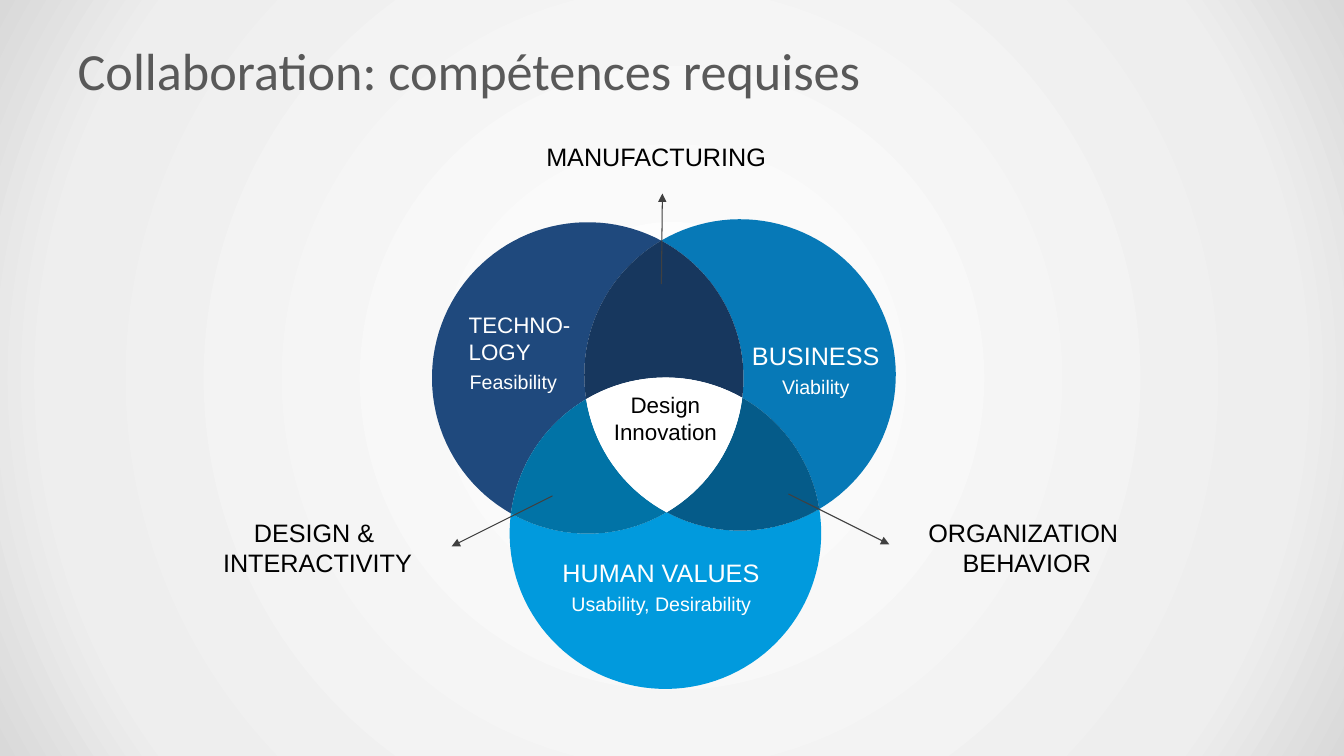
from dataclasses import dataclass
from math import atan2, ceil, cos, dist, pi, sin, sqrt, tau

from pptx import Presentation
from pptx.dml.color import RGBColor
from pptx.enum.shapes import MSO_CONNECTOR
from pptx.enum.text import MSO_ANCHOR, MSO_AUTO_SIZE, PP_ALIGN
from pptx.oxml import parse_xml
from pptx.oxml.ns import nsdecls, qn
from pptx.slide import Slide
from pptx.text.text import TextFrame
from pptx.util import Inches, Pt

WHITE = RGBColor(0xFF, 0xFF, 0xFF)
BLACK = RGBColor(0x00, 0x00, 0x00)
TITLE_GREY = RGBColor(0x59, 0x59, 0x59)
ARROW_GREY = RGBColor(0x40, 0x40, 0x40)
PALE_GREY = RGBColor(0xEE, 0xEE, 0xEE)
EDGE_GREY = RGBColor(0xD9, 0xD9, 0xD9)
TECHNOLOGY_BLUE = RGBColor(0x1F, 0x49, 0x7D)
BUSINESS_BLUE = RGBColor(0x07, 0x79, 0xB7)
HUMAN_BLUE = RGBColor(0x01, 0x9A, 0xDD)
MANUFACTURING_BLUE = RGBColor(0x17, 0x37, 0x5E)
DESIGN_BLUE = RGBColor(0x01, 0x73, 0xA6)
ORGANIZATION_BLUE = RGBColor(0x05, 0x5B, 0x89)

Point = tuple[float, float]
RADIUS = 1.545
ARC_STEP = pi / 60
CLOCKWISE, COUNTER = 1, -1

# Circle centres
TECHNOLOGY: Point = (5.83, 3.75)
BUSINESS: Point = (7.34, 3.72)
HUMAN: Point = (6.6, 5.29)


def crossings(first: Point, second: Point) -> tuple[Point, Point]:
    """Return the inner and the outer crossing of two circles."""
    (x1, y1), (x2, y2) = first, second
    gap = dist(first, second)
    ratio = sqrt(RADIUS**2 - (gap / 2) ** 2) / gap
    across, down = (y1 - y2) * ratio, (x2 - x1) * ratio
    x, y = (x1 + x2) / 2, (y1 + y2) / 2
    return (x + across, y + down), (x - across, y - down)


INNER_BOTTOM, OUTER_TOP = crossings(TECHNOLOGY, BUSINESS)
INNER_LEFT, OUTER_RIGHT = crossings(BUSINESS, HUMAN)
INNER_RIGHT, OUTER_LEFT = crossings(HUMAN, TECHNOLOGY)


@dataclass
class Arc:
    start: Point
    centre: Point
    turn: int


@dataclass
class Region:
    """A closed area; each arc runs to the start of the next one."""
    color: RGBColor
    arcs: list[Arc]


@dataclass
class Label:
    lines: list[str]
    left: float
    top: float
    width: float
    height: float
    size: int
    color: RGBColor = WHITE
    align: PP_ALIGN = PP_ALIGN.LEFT


@dataclass
class Arrow:
    start: Point
    end: Point


REGIONS = [
    Region(TECHNOLOGY_BLUE, [Arc(OUTER_TOP, TECHNOLOGY, COUNTER),
                             Arc(OUTER_LEFT, HUMAN, CLOCKWISE),
                             Arc(INNER_LEFT, BUSINESS, CLOCKWISE)]),
    Region(BUSINESS_BLUE, [Arc(OUTER_TOP, BUSINESS, CLOCKWISE),
                           Arc(OUTER_RIGHT, HUMAN, COUNTER),
                           Arc(INNER_RIGHT, TECHNOLOGY, COUNTER)]),
    Region(MANUFACTURING_BLUE, [Arc(OUTER_TOP, TECHNOLOGY, CLOCKWISE),
                                Arc(INNER_RIGHT, HUMAN, COUNTER),
                                Arc(INNER_LEFT, BUSINESS, CLOCKWISE)]),
    Region(HUMAN_BLUE, [Arc(OUTER_RIGHT, HUMAN, CLOCKWISE),
                        Arc(OUTER_LEFT, TECHNOLOGY, COUNTER),
                        Arc(INNER_BOTTOM, BUSINESS, COUNTER)]),
    Region(DESIGN_BLUE, [Arc(INNER_LEFT, BUSINESS, COUNTER),
                         Arc(INNER_BOTTOM, TECHNOLOGY, CLOCKWISE),
                         Arc(OUTER_LEFT, HUMAN, CLOCKWISE)]),
    Region(ORGANIZATION_BLUE, [Arc(INNER_RIGHT, HUMAN, CLOCKWISE),
                               Arc(OUTER_RIGHT, BUSINESS, CLOCKWISE),
                               Arc(INNER_BOTTOM, TECHNOLOGY, COUNTER)]),
    Region(WHITE, [Arc(INNER_LEFT, HUMAN, CLOCKWISE),
                   Arc(INNER_RIGHT, TECHNOLOGY, CLOCKWISE),
                   Arc(INNER_BOTTOM, BUSINESS, CLOCKWISE)]),
]
LABELS = [
    Label(["Feasibility"], 4.56, 3.62, 1.07, 0.34, 14),
    Label(["TECHNO-", "LOGY"], 4.55, 3.04, 1.22, 0.64, 16),
    Label(["Viability"], 7.66, 3.67, 0.88, 0.34, 14),
    Label(["BUSINESS"], 7.36, 3.33, 1.48, 0.4, 18),
    Label(["Usability, Desirability"], 5.57, 5.82, 2, 0.34, 14),
    Label(["HUMAN VALUES"], 5.48, 5.48, 2.17, 0.4, 18),
    Label(["DESIGN & ", "INTERACTIVITY"], 2.1, 5.08, 2.1, 0.71, 18, BLACK, PP_ALIGN.CENTER),
    Label(["ORGANIZATION ", "BEHAVIOR"], 9.1, 5.08, 2.17, 0.71, 18, BLACK, PP_ALIGN.CENTER),
    Label(["MANUFACTURING"], 5.32, 1.35, 2.47, 0.4, 18, BLACK),
    Label(["Design", "Innovation"], 5.98, 3.83, 1.24, 0.64, 16, BLACK, PP_ALIGN.CENTER),
]
ARROWS = [
    Arrow((5.48, 4.92), (4.48, 5.42)),
    Arrow((7.82, 4.9), (8.82, 5.4)),
    Arrow((6.56, 2.82), (6.57, 1.92)),
]


def arc_points(arc: Arc, end: Point) -> list[Point]:
    """Return points along an arc, from just after its start to its end."""
    x, y = arc.centre
    first, last = (atan2(py - y, px - x) for px, py in (arc.start, end))
    sweep = (last - first) * arc.turn % tau
    count = ceil(sweep / ARC_STEP)
    angles = [first + arc.turn * sweep * step / count for step in range(1, count + 1)]
    return [(x + RADIUS * cos(angle), y + RADIUS * sin(angle)) for angle in angles]


def add_region(page: Slide, region: Region) -> None:
    ends = region.arcs[1:] + region.arcs[:1]
    points = [point for arc, following in zip(region.arcs, ends)
              for point in arc_points(arc, following.start)]
    outline = [(Inches(x), Inches(y)) for x, y in points]
    builder = page.shapes.build_freeform(*outline[-1])
    builder.add_line_segments(outline[:-1], close=True)
    shape = builder.convert_to_shape()
    shape.shadow.inherit = False
    shape.fill.solid()
    shape.fill.fore_color.rgb = region.color
    shape.line.fill.background()


def write_lines(frame: TextFrame, lines: list[str], align: PP_ALIGN,
                font: dict, color: RGBColor) -> None:
    frame.text = "\n".join(lines)
    for para in frame.paragraphs:
        para.alignment = align
        for name, value in font.items():
            setattr(para.font, name, value)
        para.font.color.rgb = color


def add_label(page: Slide, label: Label) -> None:
    box = page.shapes.add_textbox(*map(Inches, (label.left, label.top, label.width, label.height)))
    frame = box.text_frame
    frame.word_wrap = False
    frame.auto_size = MSO_AUTO_SIZE.SHAPE_TO_FIT_TEXT
    write_lines(frame, label.lines, label.align,
                {"name": "Arial", "size": Pt(label.size)}, label.color)


def add_arrow(page: Slide, arrow: Arrow) -> None:
    line = page.shapes.add_connector(
        MSO_CONNECTOR.STRAIGHT, *map(Inches, arrow.start + arrow.end))
    line.line.width = Pt(0.75)
    line.line.color.rgb = ARROW_GREY
    line.line._get_or_add_ln().append(parse_xml(f'<a:tailEnd {nsdecls("a")} type="triangle"/>'))
    line.element.spPr.append(parse_xml(f'<a:effectLst {nsdecls("a")}/>'))


def paint_background(page: Slide) -> None:
    page.background.fill.solid()
    stops = "".join(f'<a:gs pos="{share * 1000}"><a:srgbClr val="{color}"/></a:gs>'
                    for share, color in ((0, WHITE), (81, PALE_GREY), (100, EDGE_GREY)))
    gradient = parse_xml(
        f'<a:gradFill {nsdecls("a")} rotWithShape="1"><a:gsLst>{stops}</a:gsLst>'
        '<a:path path="circle"><a:fillToRect l="50000" t="50000" r="50000" b="50000"/>'
        '</a:path></a:gradFill>')
    properties = next(page.element.iter(qn("p:bgPr")))
    properties.replace(properties[0], gradient)


def format_title(page: Slide) -> None:
    title = page.shapes.title
    place = {"left": 0.67, "top": 0.3, "width": 12, "height": 0.78}
    for name, value in place.items():
        setattr(title, name, Inches(value))
    frame = title.text_frame
    frame.auto_size = MSO_AUTO_SIZE.NONE
    frame.vertical_anchor = MSO_ANCHOR.MIDDLE
    write_lines(frame, ["Collaboration: compétences requises"], PP_ALIGN.LEFT,
                {"name": "Calibri", "size": Pt(37.3)}, TITLE_GREY)


def main() -> None:
    deck = Presentation()
    deck.slide_width, deck.slide_height = Inches(13.33), Inches(7.5)
    page = deck.slides.add_slide(deck.slide_layouts.get_by_name("Title Only"))
    paint_background(page)
    format_title(page)
    for region in REGIONS:
        add_region(page, region)
    for label in LABELS:
        add_label(page, label)
    for arrow in ARROWS:
        add_arrow(page, arrow)
    deck.save("out.pptx")


if __name__ == "__main__":
    main()
